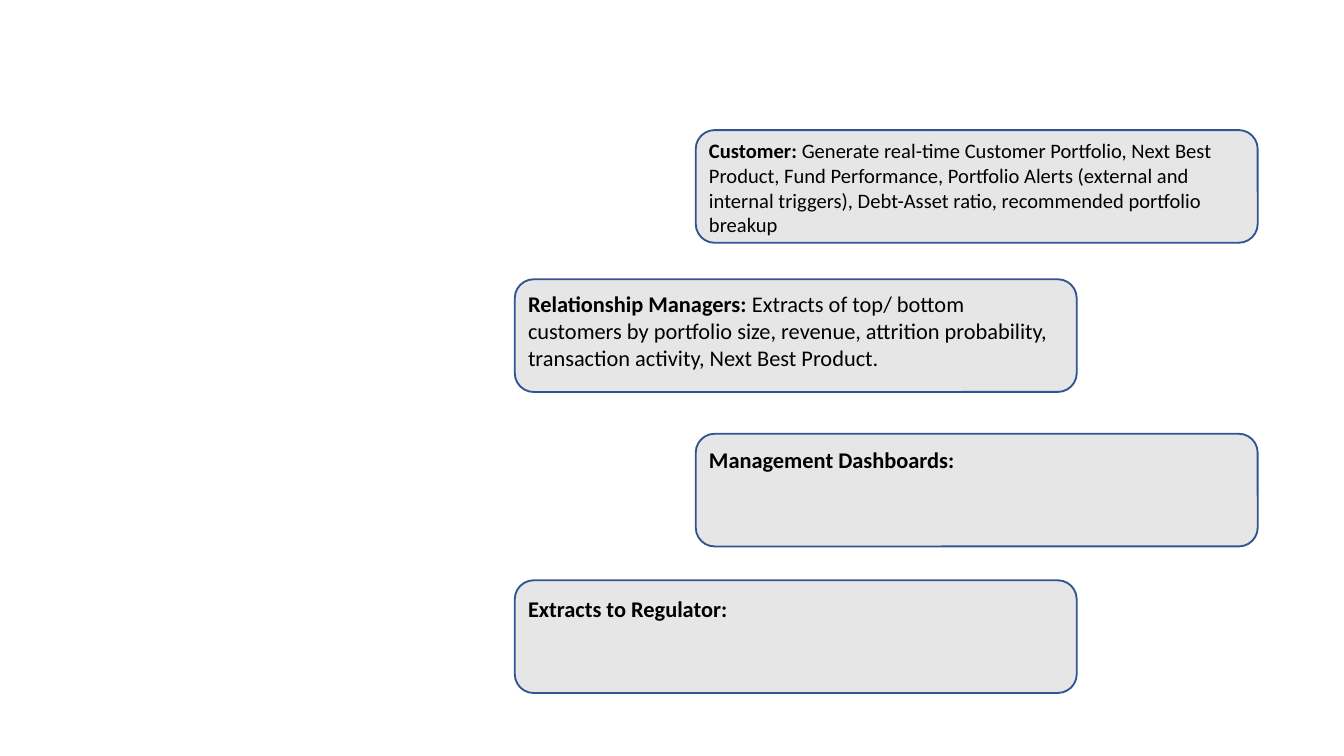
from dataclasses import dataclass

from pptx import Presentation
from pptx import util as u
from pptx.dml.color import RGBColor
from pptx.enum import shapes, text


@dataclass(frozen=True)
class Theme:
    font: str = "Calibri"
    ink: RGBColor = RGBColor(0x00, 0x00, 0x00)
    panel: RGBColor = RGBColor(0xE7, 0xE6, 0xE6)
    outline: RGBColor = RGBColor(0x32, 0x54, 0x91)
    outline_width: float = 1
    body_size: int = 12
    dense_size: int = 11


@dataclass(frozen=True)
class Audience:
    heading: str
    detail: str
    size: int
    panel_left: float
    panel_top: float
    text_left: float
    text_top: float
    text_height: float


THEME = Theme()
PANEL_WIDTH, PANEL_HEIGHT, TEXT_WIDTH = 10.62, 2.13, 10.57
LEFT, RIGHT = 9.73, 13.15

AUDIENCES = [
    Audience(
        "Customer:",
        " Generate real-time Customer Portfolio, Next Best Product, Fund Performance, "
        "Portfolio Alerts (external and internal triggers), Debt-Asset ratio, "
        "recommended portfolio breakup",
        THEME.dense_size, RIGHT, 2.46, RIGHT, 2.49, 2.13,
    ),
    Audience(
        "Relationship Managers: ",
        "Extracts of top/ bottom customers by portfolio size, revenue, "
        "attrition probability, transaction activity, Next Best Product.",
        THEME.body_size, LEFT, 5.28, LEFT, 5.36, 1.8,
    ),
    Audience("Management Dashboards:", "", THEME.body_size, RIGHT, 8.2, RIGHT, 8.31, 0.76),
    Audience("Extracts to Regulator:", "", THEME.body_size, LEFT, 10.97, LEFT, 11.13, 0.76),
]


def draw_panel(slide, audience: Audience) -> None:
    shape = slide.shapes.add_shape(
        shapes.MSO_SHAPE.ROUNDED_RECTANGLE,
        u.Cm(audience.panel_left), u.Cm(audience.panel_top),
        u.Cm(PANEL_WIDTH), u.Cm(PANEL_HEIGHT),
    )
    shape.shadow.inherit = False
    shape.fill.solid()
    shape.fill.fore_color.rgb = THEME.panel
    shape.line.color.rgb = THEME.outline
    shape.line.width = u.Pt(THEME.outline_width)


def add_run(paragraph, content: str, size: int, bold: bool) -> None:
    run = paragraph.add_run()
    run.text = content
    run.font.name = THEME.font
    run.font.size = u.Pt(size)
    run.font.bold = bold
    run.font.color.rgb = THEME.ink


def draw_text(slide, audience: Audience) -> None:
    box = slide.shapes.add_textbox(
        u.Cm(audience.text_left), u.Cm(audience.text_top),
        u.Cm(TEXT_WIDTH), u.Cm(audience.text_height),
    )
    frame = box.text_frame
    frame.word_wrap = True
    frame.auto_size = text.MSO_AUTO_SIZE.SHAPE_TO_FIT_TEXT
    paragraph = frame.paragraphs[0]
    add_run(paragraph, audience.heading, audience.size, True)
    if audience.detail:
        add_run(paragraph, audience.detail, audience.size, False)


def main() -> None:
    presentation = Presentation()
    presentation.slide_width = u.Cm(25.4)
    presentation.slide_height = u.Cm(14.29)
    slide = presentation.slides.add_slide(presentation.slide_layouts[6])
    for draw in (draw_panel, draw_text):
        for audience in AUDIENCES:
            draw(slide, audience)
    presentation.save("out.pptx")


main()
